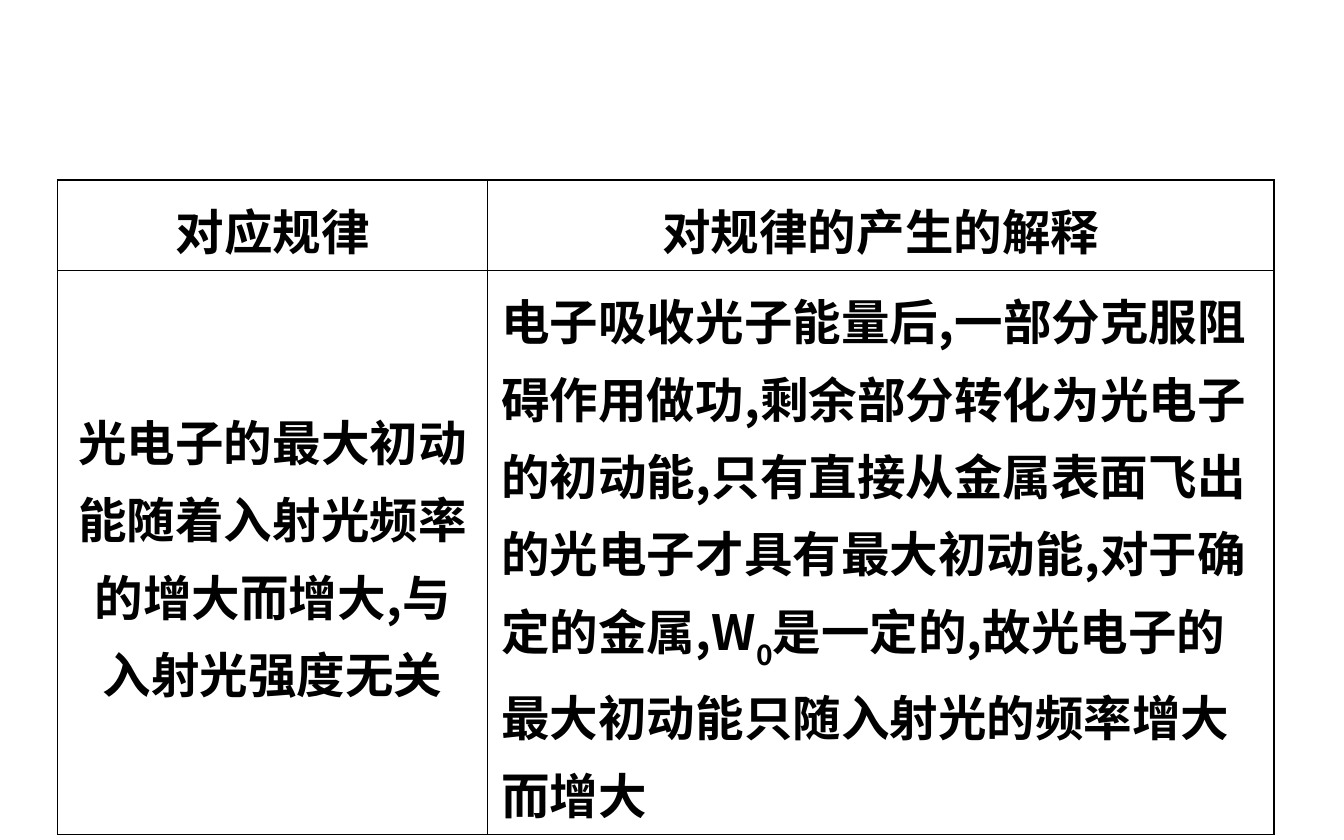
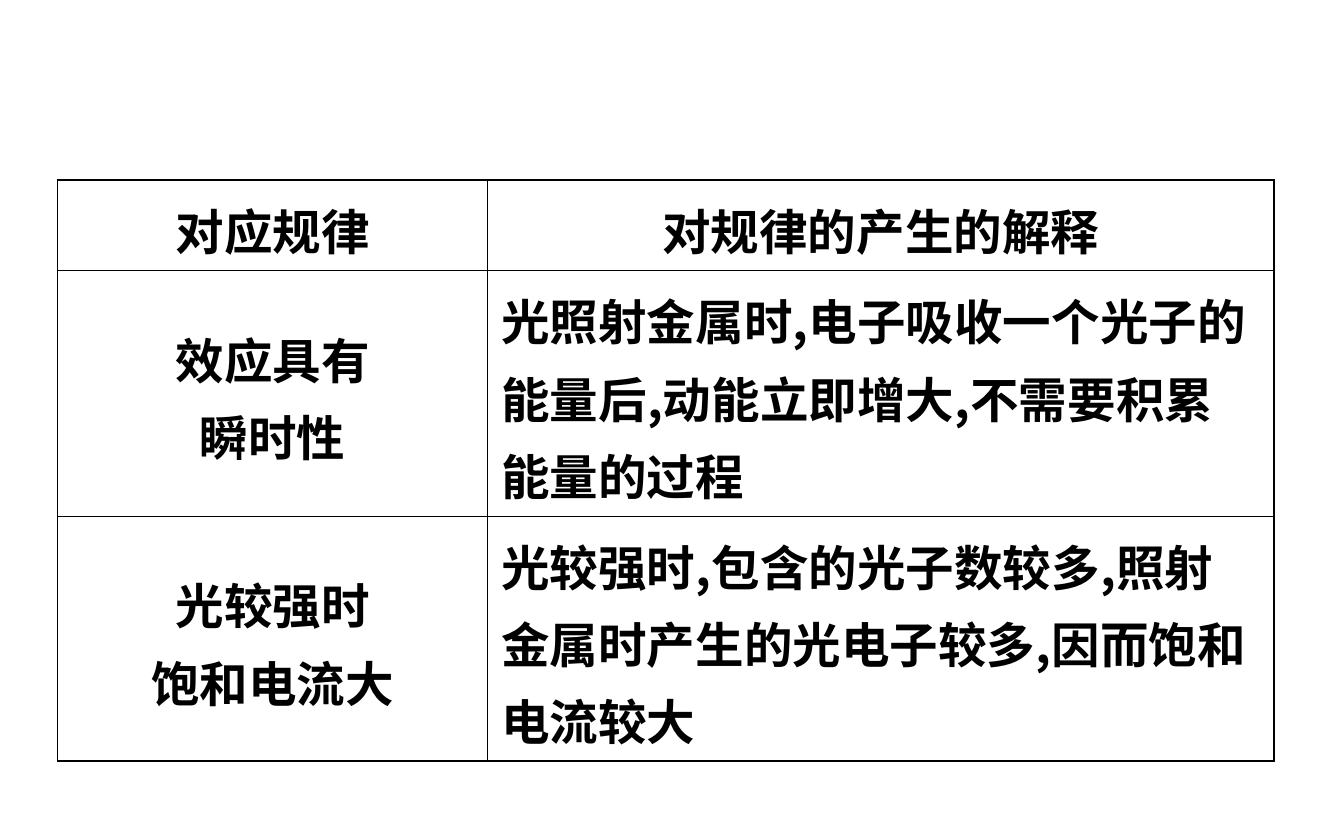
import dataclasses

import lxml.etree
import pptx
import pptx.dml.color
import pptx.enum.text
import pptx.oxml.ns
import pptx.util

Cm = pptx.util.Cm
Pt = pptx.util.Pt
Align = pptx.enum.text.PP_ALIGN


@dataclasses.dataclass(frozen=True)
class Theme:
    font: str = "Noto Sans CJK SC"
    ink: str = "000000"
    text_size: float = 26
    line_spacing: float = 1.1
    outer_border: float = 0.96
    inner_border: float = 0.45


theme = Theme()


def write_text(text_frame, text, alignment=Align.LEFT, size=theme.text_size,
               color=theme.ink, bold=True):
    """Each line becomes a paragraph; text between ~ marks is a subscript."""
    for number, line in enumerate(text.split("\n")):
        paragraph = text_frame.add_paragraph() if number else text_frame.paragraphs[0]
        paragraph.alignment = alignment
        paragraph.line_spacing = theme.line_spacing
        for part, words in enumerate(line.split("~")):
            run = paragraph.add_run()
            run.text = words
            run.font.size = Pt(size)
            run.font.bold = bold
            run.font.color.rgb = pptx.dml.color.RGBColor.from_string(color)
            run.font.name = theme.font
            properties = run._r.get_or_add_rPr()
            lxml.etree.SubElement(properties, pptx.oxml.ns.qn("a:ea"), typeface=theme.font)
            if part % 2:
                properties.set("baseline", "-30000")


def draw_borders(cell, widths):
    """Insert left, right, top and bottom lines ahead of the cell fill."""
    cell_properties = cell._tc.get_or_add_tcPr()
    for position, (side, width) in enumerate(zip("LRTB", widths)):
        line = lxml.etree.Element(pptx.oxml.ns.qn("a:ln" + side), w=str(int(Pt(width))))
        fill = lxml.etree.SubElement(line, pptx.oxml.ns.qn("a:solidFill"))
        lxml.etree.SubElement(fill, pptx.oxml.ns.qn("a:srgbClr"), val=theme.ink)
        cell_properties.insert(position, line)


# Shared table layout and content
table_left, table_top = Cm(1.09), Cm(3.4)
column_widths = [Cm(8.13), Cm(14.86)]
header_height = Cm(1.47)
header = ("对应规律", "对规律的产生的解释")

# Each slide: height of its body rows, then the rows of law and explanation
slide_contents = [
    (Cm(9.09), [
        ("光电子的最大初动能随着入射光频率的增大而增大,与入射光强度无关",
         "电子吸收光子能量后,一部分克服阻碍作用做功,剩余部分转化为光电子的初动能,"
         "只有直接从金属表面飞出的光电子才具有最大初动能,对于确定的金属,W~0~是一定的,"
         "故光电子的最大初动能只随入射光的频率增大而增大"),
    ]),
    (Cm(3.89), [
        ("效应具有\n瞬时性",
         "光照射金属时,电子吸收一个光子的能量后,动能立即增大,不需要积累能量的过程"),
        ("光较强时\n饱和电流大",
         "光较强时,包含的光子数较多,照射金属时产生的光电子较多,因而饱和电流较大"),
    ]),
]

presentation = pptx.Presentation()
presentation.slide_width = Cm(25.4)
presentation.slide_height = Cm(15.88)
blank_layout = presentation.slide_layouts[6]

for body_height, body_rows in slide_contents:
    slide = presentation.slides.add_slide(blank_layout)
    rows = [header] + body_rows
    row_heights = [header_height] + [body_height] * len(body_rows)

    # Table grid
    table = slide.shapes.add_table(
        len(rows), len(header), table_left, table_top,
        sum(column_widths), sum(row_heights)).table
    table.first_row = False
    table.horz_banding = False
    for column, width in zip(table.columns, column_widths):
        column.width = width
    for row, height in zip(table.rows, row_heights):
        row.height = height

    # Cell text, with heavier lines around the outside
    for row_index, texts in enumerate(rows):
        for column_index, text in enumerate(texts):
            cell = table.cell(row_index, column_index)
            cell.vertical_anchor = pptx.enum.text.MSO_ANCHOR.MIDDLE
            cell.fill.background()
            is_explanation = row_index > 0 and column_index == 1
            write_text(cell.text_frame, text,
                       alignment=Align.LEFT if is_explanation else Align.CENTER)
            on_edge = (column_index == 0, column_index == len(texts) - 1,
                       row_index == 0, row_index == len(rows) - 1)
            draw_borders(cell, [theme.outer_border if edge else theme.inner_border
                                for edge in on_edge])

presentation.save("out.pptx")
